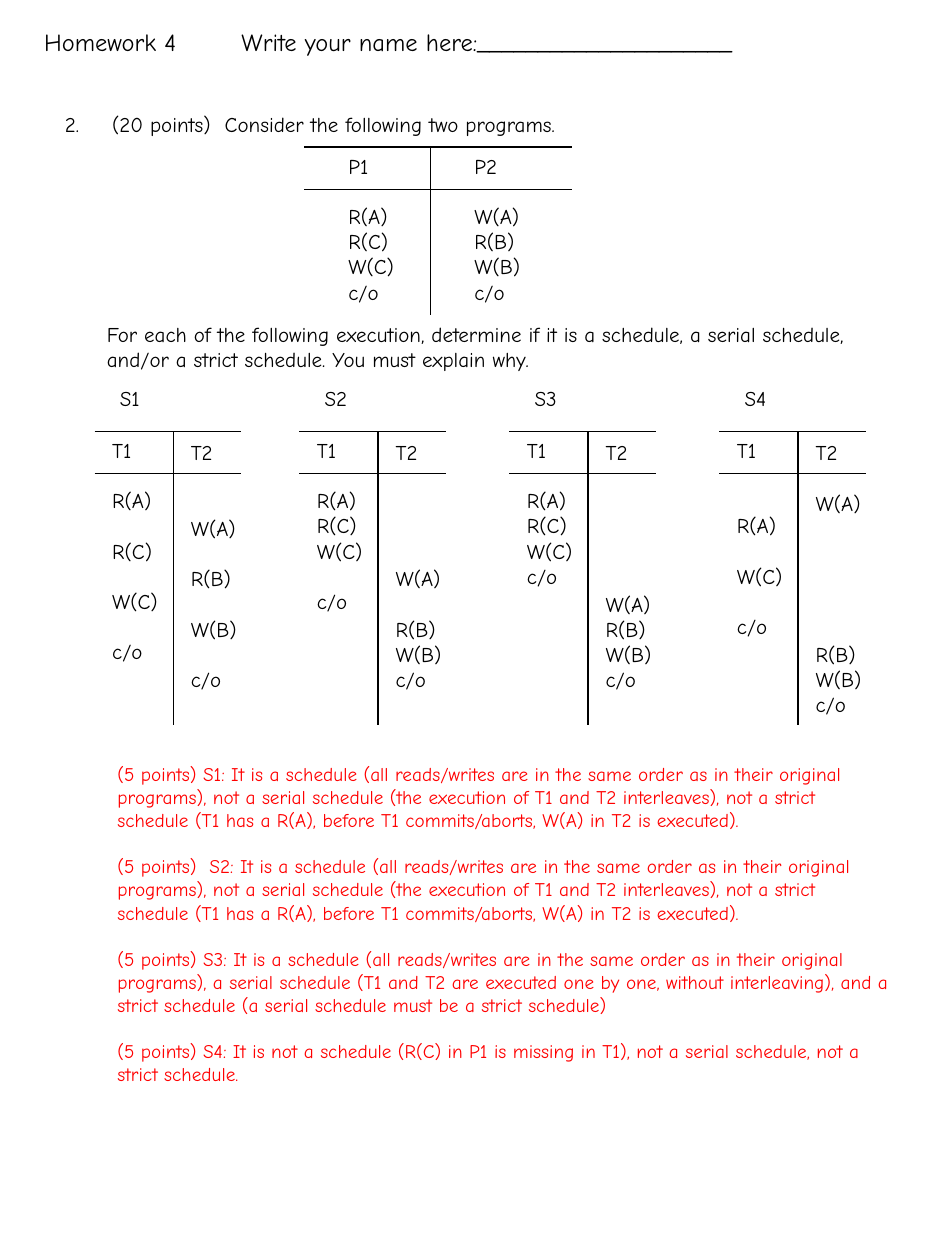
from lxml import etree
from pptx import Presentation
from pptx.dml.color import RGBColor
from pptx.enum.shapes import MSO_CONNECTOR
from pptx.enum.text import MSO_ANCHOR, MSO_AUTO_SIZE, PP_ALIGN
from pptx.oxml.ns import qn
from pptx.util import Pt

LINE = MSO_CONNECTOR.STRAIGHT
TOP = MSO_ANCHOR.TOP
GROW = MSO_AUTO_SIZE.SHAPE_TO_FIT_TEXT
LEFT = PP_ALIGN.LEFT
BLACK = RGBColor(0, 0, 0)
RED = RGBColor(255, 0, 0)
FONT = "Comic Neue"
LEAD = 1.2  # line height per point of text size

# Content; an empty string is a free row
HEAD = "Homework 4\tWrite your name here:_____________________"
TASK = "(20 points)  Consider the following two programs."
ASK = ("For each of the following execution, determine if it is a schedule, "
       "a serial schedule, and/or a strict schedule. You must explain why.")
PROGRAMS = (["P1", "", "R(A)", "R(C)", "W(C)", "c/o"],
            ["P2", "", "W(A)", "R(B)", "W(B)", "c/o"])
PLANS = [
    ("S1", 54, ["T1", "", "R(A)", "", "R(C)", "", "W(C)", "", "c/o"],
     ["T2", "", "", "W(A)", "", "R(B)", "", "W(B)", "", "c/o"]),
    ("S2", 171, ["T1", "", "R(A)", "R(C)", "W(C)", "", "c/o"],
     ["T2", "", "", "", "", "W(A)", "", "R(B)", "W(B)", "c/o"]),
    ("S3", 291, ["T1", "", "R(A)", "R(C)", "W(C)", "c/o"],
     ["T2", "", "", "", "", "", "W(A)", "R(B)", "W(B)", "c/o"]),
    ("S4", 411, ["T1", "", "", "R(A)", "", "W(C)", "", "c/o"],
     ["T2", "", "W(A)", "", "", "", "", "", "R(B)", "W(B)", "c/o"]),
]
SAME = ("It is a schedule (all reads/writes are in the same order as in "
        "their original programs), ")
MIXED = SAME + (
    "not a serial schedule (the execution of T1 and T2 interleaves), not a "
    "strict schedule (T1 has a R(A), before T1 commits/aborts, W(A) in T2 "
    "is executed).")
ANSWERS = [
    "(5 points) S1: " + MIXED, "",
    "(5 points)  S2: " + MIXED, "",
    "(5 points) S3: " + SAME + "a serial schedule (T1 and T2 are executed "
    "one by one, without interleaving), and a strict schedule (a serial "
    "schedule must be a strict schedule)", "",
    "(5 points) S4: It is not a schedule (R(C) in P1 is missing in T1), "
    "not a serial schedule, not a strict schedule.",
]

deck = Presentation()
deck.slide_width, deck.slide_height = Pt(540), Pt(720)
slide = deck.slides.add_slide(deck.slide_layouts[5])
shapes = slide.shapes


def write(rows, x, y, width, height=None, size=12, color=BLACK, box=None):
    """Put rows of text in a box; free rows become space before."""
    pitch = size * LEAD
    place = [Pt(v) for v in (x, y, width, height or len(rows) * pitch + 7.2)]
    if box is None:
        box = shapes.add_textbox(*place)
    else:
        box.left, box.top, box.width, box.height = place
    frame = box.text_frame
    frame.word_wrap, frame.auto_size = True, GROW
    frame.vertical_anchor = TOP
    gap = 0
    for i, row in enumerate(rows):
        if not row:
            gap += pitch
            continue
        para = frame.add_paragraph() if i else frame.paragraphs[0]
        para.alignment, para.space_before = LEFT, Pt(gap)
        gap = 0
        run = para.add_run()
        run.text = row
        run.font.name, run.font.size = FONT, Pt(size)
        run.font.color.rgb = color
    return frame.paragraphs[0]


def rule(x1, y1, x2, y2):
    line = shapes.add_connector(LINE, Pt(x1), Pt(y1), Pt(x2), Pt(y2))
    line.line.color.rgb, line.line.width = BLACK, Pt(0.74)
    etree.SubElement(line._element.spPr, qn("a:effectLst"))


def grid(cols, x, y, width, height, split, inset, drop=0):
    """Draw two columns under a ruled head."""
    for top in (y + 24.2, y):
        rule(x, top, x + width, top)
    rule(x + split, y, x + split, y + height)
    write(cols[1], x + split + inset, y + drop, 45)
    write(cols[0], x + inset, y, 54)


# Title with a tab before the name field
para = write([HEAD], 18, 12, 516, size=14, box=shapes.title)
props = para._p.get_or_add_pPr()
tabs = etree.SubElement(props, qn("a:tabLst"))
etree.SubElement(tabs, qn("a:tab"), pos=str(Pt(112.8)), algn="l")

# Numbered task
para = write([TASK], 30, 60, 420)
props = para._p.get_or_add_pPr()
props.set("marL", str(Pt(27)))
props.set("indent", str(Pt(-27)))
etree.SubElement(props, qn("a:buFont"), typeface=FONT)
etree.SubElement(props, qn("a:buAutoNum"), type="arabicPeriod", startAt="2")

# Programs and question
grid(PROGRAMS, 174, 84, 153, 96, split=72, inset=18)
write([ASK], 54, 180, 438)

# Schedules
for name, x, *cols in PLANS:
    grid(cols, x, 246.4, 84, 168, split=45, inset=3, drop=1.5)
    write([name], x + 7.4, 216.7, 32)

# Answers
write(ANSWERS, 60, 432, 456, height=219, size=11, color=RED)

deck.save("out.pptx")
